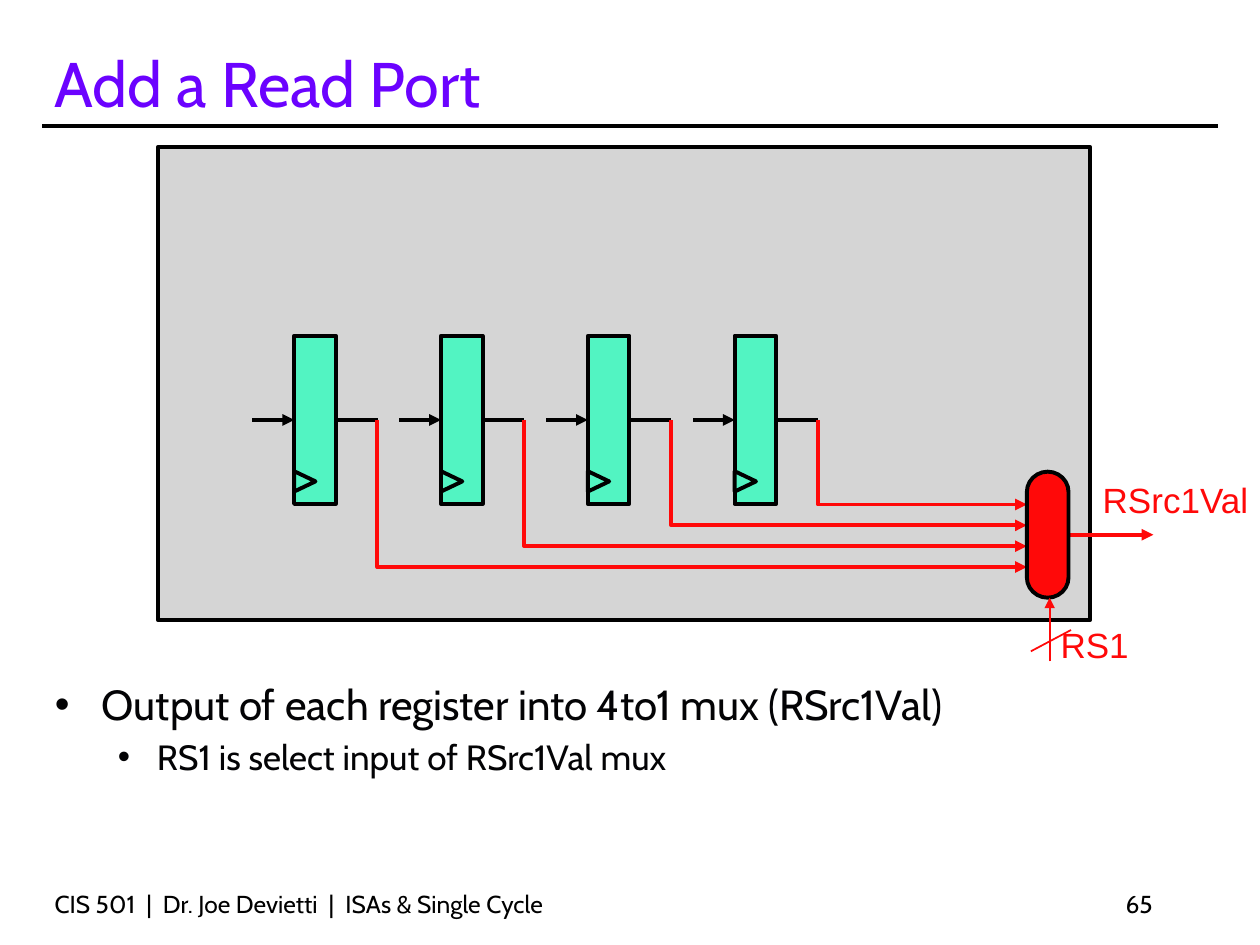
from lxml import etree
from pptx import Presentation
from pptx.dml.color import RGBColor
from pptx.enum.shapes import MSO_CONNECTOR, MSO_SHAPE
from pptx.enum.text import MSO_ANCHOR, MSO_AUTO_SIZE, PP_ALIGN
from pptx.oxml.ns import qn
from pptx.util import Cm, Pt

RECT, TRIANGLE = MSO_SHAPE.RECTANGLE, MSO_SHAPE.ISOSCELES_TRIANGLE
TERMINATOR = MSO_SHAPE.FLOWCHART_TERMINATOR
STRAIGHT = MSO_CONNECTOR.STRAIGHT
LEFT, RIGHT = PP_ALIGN.LEFT, PP_ALIGN.RIGHT
TOP, BOTTOM = MSO_ANCHOR.TOP, MSO_ANCHOR.BOTTOM
NO_FIT = MSO_AUTO_SIZE.NONE

BLACK = RGBColor(0x00, 0x00, 0x00)
INK = RGBColor(0x03, 0x03, 0x05)
PURPLE = RGBColor(0x6B, 0x02, 0xFF)
RED = RGBColor(0xFF, 0x09, 0x09)
GREEN = RGBColor(0x52, 0xF4, 0xC2)
GREY = RGBColor(0xD5, 0xD5, 0xD5)

# Content
TITLE = "Add a Read Port"
BULLETS = [  # text, level, size, left margin, indent, space before
    ("Output of each register into 4to1 mux (RSrc1Val)", 0, 24, 0.95, -0.95, 0),
    ("RS1 is select input of RSrc1Val mux", 1, 20, 2.06, -0.79, 4),
]
FOOTERS = [  # text, left, width, alignment
    ("CIS 501  |  Dr. Joe Devietti  |  ISAs & Single Cycle", 0.85, 15.88, LEFT),
    ("65", 18.2, 5.29, RIGHT),
]
LABELS = [  # text, left, top, width, height
    ("RS1", 21.13, 12.45, 1.88, 1.09),
    ("RSrc1Val", 21.98, 9.53, 3.43, 1.09),
]

# Diagram geometry in cm
REGISTERS = 4
REG_X, REG_Y, REG_W, REG_H, REG_STEP = 5.93, 6.77, 0.84, 3.39, 2.96
WIRE_Y, WIRE_LEN = REG_Y + REG_H / 2, 0.84
CLOCK_W, CLOCK_H, CLOCK_Y = 0.41, 0.43, 9.5
MUX_X, MUX_Y, MUX_W, MUX_H = 20.7, 9.51, 0.84, 2.54
MUX_IN_Y, MUX_IN_STEP = 11.43, 0.42
SELECT_X = 21.16

prs = Presentation()
prs.slide_width, prs.slide_height = Cm(25.4), Cm(19.05)
s = prs.slides.add_slide(prs.slide_layouts[1])


def write(p, text, size=14, color=BLACK, font="Cabin", align=LEFT):
    p.alignment = align
    r = p.add_run()
    r.text = text
    r.font.size, r.font.name = Pt(size), font
    r.font.color.rgb = color


def place(sp, x, y, w, h, anchor=TOP, wrap=True):
    sp.left, sp.top, sp.width, sp.height = Cm(x), Cm(y), Cm(w), Cm(h)
    tf = sp.text_frame
    tf.auto_size, tf.word_wrap, tf.vertical_anchor = NO_FIT, wrap, anchor
    return tf


def add_text_box(x, y, w, h, **kwargs):
    sp = s.shapes.add_textbox(Cm(x), Cm(y), Cm(w), Cm(h))
    return place(sp, x, y, w, h, **kwargs)


def add_box(kind, x, y, w, h, fill, turned=False):
    """Place a shape by its visible frame, turned a quarter if asked."""
    if turned:
        x, y, w, h = x + (w - h) / 2, y + (h - w) / 2, h, w
    sp = s.shapes.add_shape(kind, Cm(x), Cm(y), Cm(w), Cm(h))
    sp.rotation = 90 if turned else 0
    sp.shadow.inherit = False
    sp.fill.solid()
    sp.fill.fore_color.rgb = fill
    sp.line.color.rgb, sp.line.width = BLACK, Pt(2.25)
    return sp


def style_line(sp, color, width, arrow):
    sp.line.color.rgb, sp.line.width = color, Pt(width)
    if arrow:
        etree.SubElement(sp.line._get_or_add_ln(), qn("a:tailEnd"), type="triangle")


def add_line(x1, y1, x2, y2, color=BLACK, width=2.25, arrow=False):
    sp = s.shapes.add_connector(STRAIGHT, Cm(x1), Cm(y1), Cm(x2), Cm(y2))
    style_line(sp, color, width, arrow)
    etree.SubElement(sp._element.spPr, qn("a:effectLst"))
    return sp


def add_mux_wire(x, y):
    """Run from a register's output down to row y and right to the mux."""
    builder = s.shapes.build_freeform(Cm(x), Cm(WIRE_Y))
    builder.add_line_segments([(Cm(x), Cm(y)), (Cm(MUX_X), Cm(y))], close=False)
    sp = builder.convert_to_shape()
    sp.fill.background()
    sp.shadow.inherit = False
    style_line(sp, RED, 2.25, True)


# Title, rule and footers
tf = place(s.shapes.title, 0.85, 0.64, 22.43, 1.9, anchor=BOTTOM)
write(tf.paragraphs[0], TITLE, size=36, color=PURPLE)
add_line(0.85, 2.54, 24.55, 2.54)
for text, x, w, align in FOOTERS:
    tf = add_text_box(x, 17.78, w, 0.85, anchor=BOTTOM)
    write(tf.paragraphs[0], text, align=align)

# Bullets
tf = place(s.placeholders[1], 0.85, 13.55, 23.71, 3.81)
for i, (text, level, size, margin, indent, before) in enumerate(BULLETS):
    p = tf.add_paragraph() if i else tf.paragraphs[0]
    p.level, p.space_before = level, Pt(before)
    pPr = p._p.get_or_add_pPr()
    pPr.set("marL", str(Cm(margin)))
    pPr.set("indent", str(Cm(indent)))
    etree.SubElement(pPr, qn("a:buFont"), typeface="Arial")
    etree.SubElement(pPr, qn("a:buChar"), char="•")
    write(p, text, size=size, color=INK)

# Register file with its registers
add_box(RECT, 3.18, 2.97, 18.8, 9.53, GREY)
for i in range(REGISTERS):
    x = REG_X + i * REG_STEP
    out_x = x + REG_W + WIRE_LEN
    register = add_box(RECT, x, REG_Y, REG_W, REG_H, GREEN)
    add_line(x - WIRE_LEN, WIRE_Y, x, WIRE_Y, arrow=True).end_connect(register, 1)
    add_line(x + REG_W, WIRE_Y, out_x, WIRE_Y).begin_connect(register, 3)
    add_box(TRIANGLE, x, CLOCK_Y, CLOCK_H, CLOCK_W, GREEN, turned=True)
    add_mux_wire(out_x, MUX_IN_Y - i * MUX_IN_STEP)

# Mux with its output and select input
mux_mid_y = MUX_Y + MUX_H / 2
add_line(MUX_X + MUX_W, mux_mid_y, 23.25, mux_mid_y, color=RED, arrow=True)
add_box(TERMINATOR, MUX_X, MUX_Y, MUX_W, MUX_H, RED, turned=True)
add_line(SELECT_X, 13.33, SELECT_X, MUX_Y + MUX_H, color=RED, width=1, arrow=True)
add_line(21.59, 12.7, 20.78, 13.13, color=RED, width=1)
for text, x, y, w, h in LABELS:
    tf = add_text_box(x, y, w, h, wrap=False)
    write(tf.paragraphs[0], text, size=20, color=RED, font="Arial")

prs.save("out.pptx")
